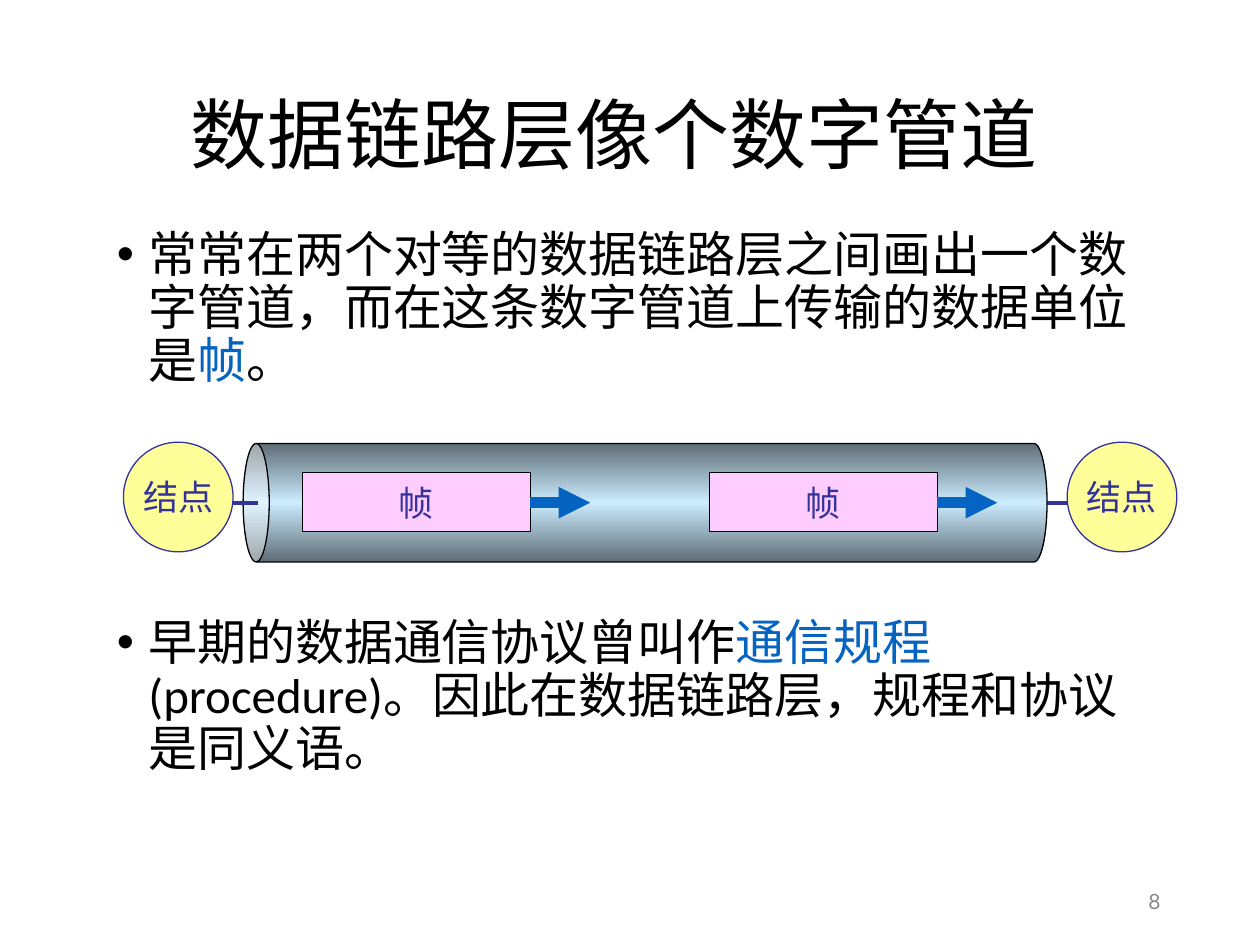
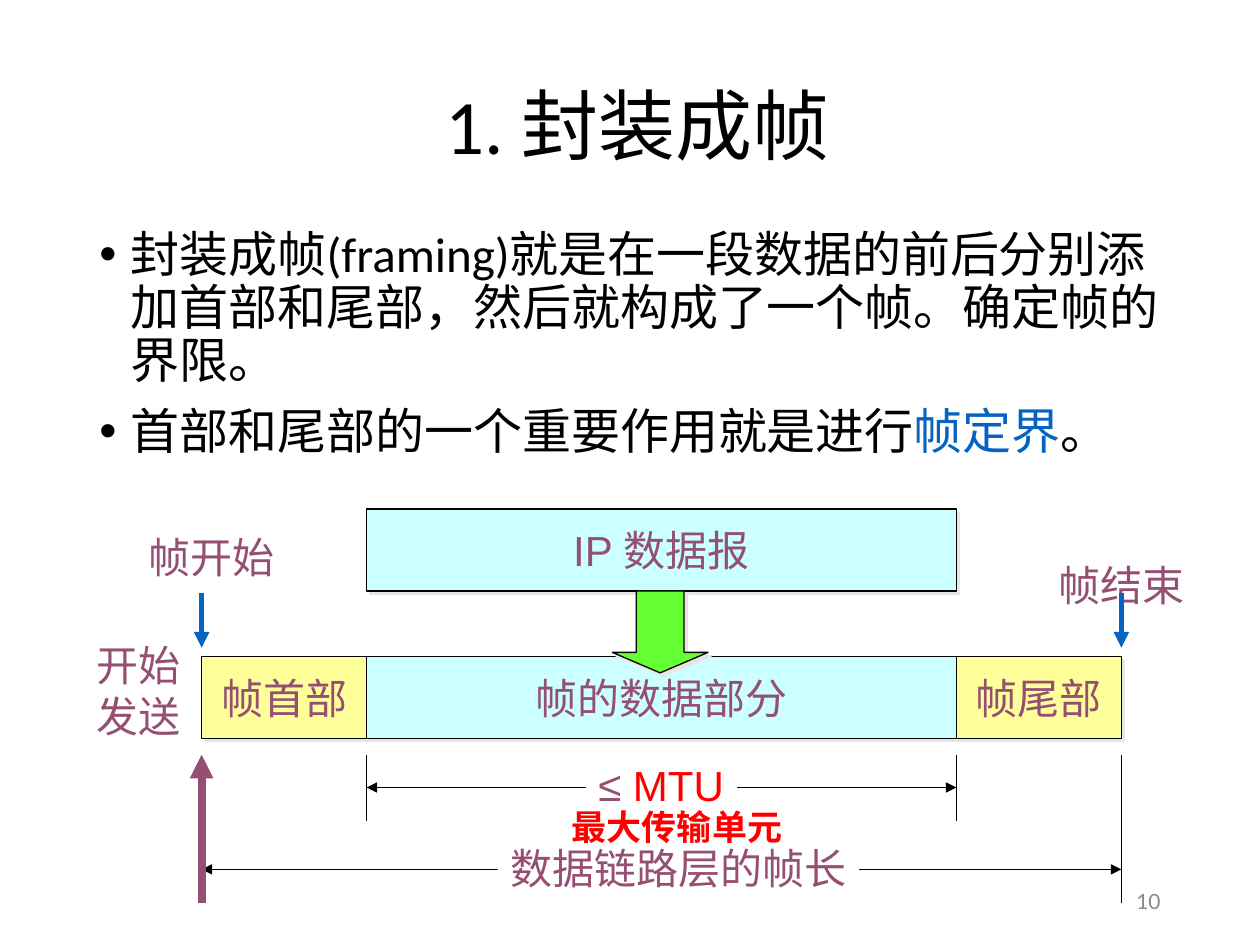
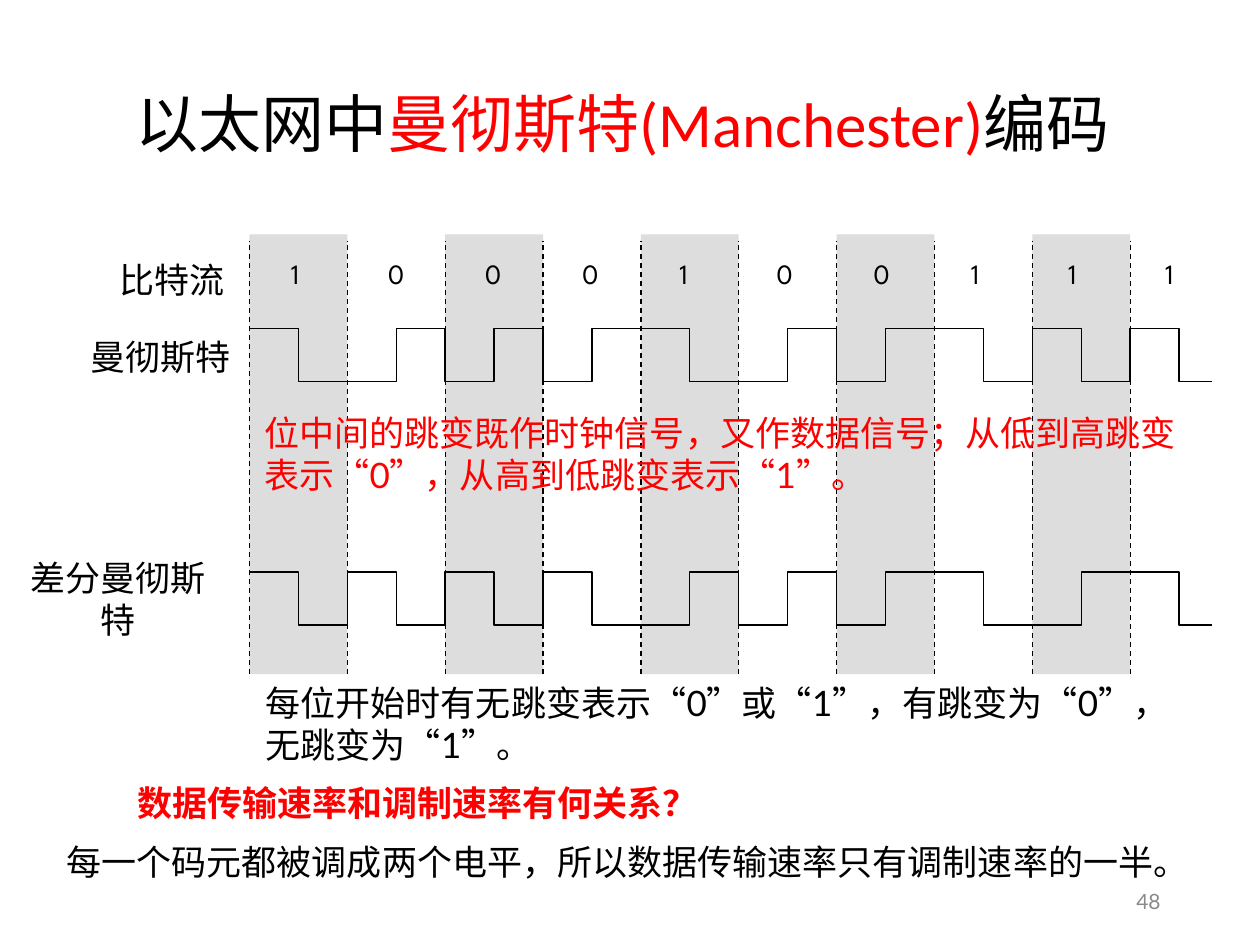
from copy import deepcopy
from dataclasses import dataclass, replace
from typing import NamedTuple, Optional, Sequence

from pptx import Presentation
from pptx.dml.color import RGBColor
from pptx.enum.dml import MSO_LINE_DASH_STYLE as Dash
from pptx.enum.lang import MSO_LANGUAGE_ID as Lang
from pptx.enum.shapes import MSO_CONNECTOR as Conn, MSO_SHAPE as Shp
from pptx.enum.text import MSO_ANCHOR as Anchor, PP_ALIGN as Align
from pptx.oxml.ns import qn
from pptx.oxml.xmlchemy import OxmlElement
from pptx.util import Inches, Pt

BLACK = RGBColor(0x00, 0x00, 0x00)
WHITE = RGBColor(0xFF, 0xFF, 0xFF)
RED = RGBColor(0xFF, 0x00, 0x00)
BLUE = RGBColor(0x05, 0x63, 0xC1)
NAVY = RGBColor(0x33, 0x33, 0x99)
PLUM = RGBColor(0x95, 0x4F, 0x72)
YELLOW = RGBColor(0xFF, 0xFF, 0x99)
PINK = RGBColor(0xFF, 0xCC, 0xFF)
CYAN = RGBColor(0xCC, 0xFF, 0xFF)
GREEN = RGBColor(0x66, 0xFF, 0x33)
STEEL = RGBColor(0x5E, 0x6D, 0x76)
SKY = RGBColor(0xCC, 0xEC, 0xFF)
BAND_GREY = RGBColor(0xDD, 0xDD, 0xDD)
NUMBER_GREY = RGBColor(0x89, 0x89, 0x89)

# The slide is a grid of 100 columns by 75 rows of square cells.
SLIDE_W, SLIDE_H = Inches(10), Inches(7.5)
COLUMNS = 100
CELL = SLIDE_W / COLUMNS


def grid(n: float) -> int:
    """Turn a count of grid cells into a length."""
    return round(n * CELL)


class Box(NamedTuple):
    left: float
    top: float
    width: float
    height: float

    def emu(self) -> list[int]:
        return [grid(n) for n in self]


class Run(NamedTuple):
    text: str
    color: Optional[RGBColor] = None


class Line(NamedTuple):
    x1: float
    y1: float
    x2: float
    y2: float
    color: RGBColor = BLACK
    width: float = 0.75
    ends: Sequence[str] = ()
    dash: Optional[Dash] = None


@dataclass(frozen=True)
class Style:
    font: str = "Lato"
    size: float = 20
    color: RGBColor = BLACK
    bold: bool = False
    align: Align = Align.LEFT
    anchor: Anchor = Anchor.TOP
    wrap: bool = False
    spacing: float = 1.0
    bullet: bool = False


@dataclass(frozen=True)
class Label:
    box: Box
    paragraphs: Sequence[Sequence[Run]]
    style: Style
    fill: Optional[RGBColor] = None


@dataclass(frozen=True)
class Block:
    """A filled preset shape with an optional caption."""
    box: Box
    fill: Optional[RGBColor]
    caption: str = ""
    style: Style = Style()
    line: Optional[RGBColor] = BLACK
    shape: Shp = Shp.RECTANGLE
    shadow: bool = False


TITLE = Style("Calibri", 44, align=Align.CENTER, anchor=Anchor.MIDDLE,
              wrap=True, spacing=0.9)
BODY = Style("Calibri", 28, wrap=True, spacing=0.9, bullet=True)
NUMBER = Style(size=12, color=NUMBER_GREY, align=Align.RIGHT,
               anchor=Anchor.MIDDLE, wrap=True)
NODE = Style(color=NAVY, align=Align.CENTER, anchor=Anchor.MIDDLE)
FIELD = Style("Arial", 24, PLUM, align=Align.CENTER, anchor=Anchor.MIDDLE)
MARK = Style("Arial", 24, PLUM)
NOTE = Style(wrap=True)
SIGNAL = Style("Times New Roman", wrap=True)
BIT = Style("League Spartan", 16)
NUMBER_BOX = Box(70.6, 69.5, 22.5, 4)


def add_xml(parent, tag: str, **attrs):
    el = OxmlElement(tag)
    for name, value in attrs.items():
        el.set(name, str(value))
    parent.append(el)
    return el


def write(tf, paragraphs: Sequence[Sequence[Run]], style: Style, gap: float = 10) -> None:
    """Fill a text frame; gap is the space in points between bullets."""
    tf.word_wrap = style.wrap
    tf.vertical_anchor = style.anchor
    for i, runs in enumerate(paragraphs):
        p = tf.add_paragraph() if i else tf.paragraphs[0]
        if style.bullet:
            pPr = p._p.get_or_add_pPr()
            pPr.set("marL", str(Inches(0.25)))
            pPr.set("indent", str(-Inches(0.25)))
            add_xml(pPr, "a:buFont", typeface="Arial")
            add_xml(pPr, "a:buChar", char="•")
            p.space_before = Pt(gap if i else 0)
        p.alignment = style.align
        p.line_spacing = style.spacing
        for run in runs:
            r = p.add_run()
            r.text = run.text
            formats = {"name": style.font, "size": Pt(style.size), "bold": style.bold,
                       "language_id": Lang.SIMPLIFIED_CHINESE}
            for name, value in formats.items():
                setattr(r.font, name, value)
            r.font.color.rgb = style.color if run.color is None else run.color


def add_label(s, label: Label, gap: float = 10) -> None:
    sp = s.shapes.add_textbox(*label.box.emu())
    if label.fill is not None:
        sp.fill.solid()
        sp.fill.fore_color.rgb = label.fill
    write(sp.text_frame, label.paragraphs, label.style, gap)


def add_shadow(sp) -> None:
    effects = sp._element.spPr.find(qn("a:effectLst"))
    shadow = add_xml(effects, "a:outerShdw", blurRad=0, dist=Pt(2.8), dir=45 * 60000,
                     algn="ctr", rotWithShape=0)
    add_xml(shadow, "a:srgbClr", val="E7E6E6")


def set_outline(sp, color: Optional[RGBColor]) -> None:
    if color is None:
        sp.line.fill.background()
    else:
        sp.line.color.rgb = color
        sp.line.width = Pt(0.75)


def add_block(s, block: Block):
    sp = s.shapes.add_shape(block.shape, *block.box.emu())
    sp.shadow.inherit = False
    if block.fill is not None:
        sp.fill.solid()
        sp.fill.fore_color.rgb = block.fill
    set_outline(sp, block.line)
    if block.shadow:
        add_shadow(sp)
    if block.caption:
        write(sp.text_frame, [[Run(block.caption)]], block.style)
    return sp


def add_line(s, line: Line) -> None:
    """Draw a line; ends names the arrowheads, headEnd before tailEnd."""
    c = s.shapes.add_connector(Conn.STRAIGHT, *map(grid, line[:4]))
    c.line.color.rgb = line.color
    c.line.width = Pt(line.width)
    if line.dash is not None:
        c.line.dash_style = line.dash
    for end in line.ends:
        add_xml(c.line._get_or_add_ln(), f"a:{end}", type="triangle")
    add_xml(c._element.spPr, "a:effectLst")


def add_slide(prs, number: int, title_box: Box, title: Sequence[Run],
              title_style: Style = TITLE):
    s = prs.slides.add_slide(prs.slide_layouts[6])
    add_label(s, Label(title_box, [title], title_style))
    add_label(s, Label(NUMBER_BOX, [[Run(str(number))]], NUMBER))
    return s


TO = ("tailEnd",)
BOTH = ("headEnd", "tailEnd")


def add_pipe(s) -> None:
    """Draw the horizontal cylinder, shaded from its edges to its middle."""
    sp = add_block(s, Block(Box(46.5, 8, 9.4, 63.8), None, shape=Shp.CAN))
    sp.rotation = 270
    sp.adjustments[0] = 0.22
    sp.fill.gradient()
    sp.fill.gradient_angle = 0
    first, last = sp.fill.gradient_stops
    first.color.rgb, first.position = STEEL, 0
    last.color.rgb, last.position = SKY, 0.5
    stops = sp._element.spPr.find(f".//{qn('a:gsLst')}")
    edge = deepcopy(stops[0])
    edge.set("pos", "100000")
    stops.append(edge)


def pipe_slide(prs) -> None:
    s = add_slide(prs, 8, Box(11.3, 6.8, 75, 8.4), [Run("数据链路层像个数字管道")])
    add_label(s, Label(Box(8.3, 17.8, 85, 52.9), [
        [Run("常常在两个对等的数据链路层之间画出一个数字管道，而在这条数字管道上传输的数据单位是"),
         Run("帧", BLUE), Run("。")],
        [Run("早期的数据通信协议曾叫作"), Run("通信规程", BLUE),
         Run("(procedure)。因此在数据链路层，规程和协议是同义语。")],
    ], BODY), gap=131)

    axis, node, node_lefts = 39.9, 8.7, (9.8, 84.7)
    wire_start = node_lefts[0] + node
    for left in node_lefts:
        add_block(s, Block(Box(left, 35.1, node, node), YELLOW, "结点", NODE, NAVY, Shp.OVAL))
    add_line(s, Line(wire_start, axis, node_lefts[1], axis, NAVY, 2.25))
    add_pipe(s)
    add_line(s, Line(wire_start, axis, 20.5, axis, NAVY, 2.25))
    frame_w, arrow_w = 18.1, 4.75
    for left in (24, 56.3):
        right = left + frame_w
        add_block(s, Block(Box(left, 37.5, frame_w, 4.7), PINK, "帧", NODE))
        add_line(s, Line(right, axis, right + arrow_w, axis, BLUE, 6, TO))


def framing_slide(prs) -> None:
    s = add_slide(prs, 10, Box(12.6, 2.3, 76, 16), [Run("1. 封装成帧")])
    add_label(s, Label(Box(6.9, 17.8, 86.2, 47.6), [
        [Run("封装成帧(framing)就是在一段数据的前后分别添加首部和尾部，然后就构成了一个帧。确定帧的界限。")],
        [Run("首部和尾部的一个重要作用就是进行"), Run("帧定界", BLUE), Run("。")],
    ], BODY))

    start, data, trailer, end = 16, 29.1, 75.9, 89
    packet_top, frame_top, field_h = 40.4, 52.1, 6.5
    fields = [
        (start, data, frame_top, YELLOW, "帧首部"),
        (data, trailer, packet_top, CYAN, "IP 数据报"),
        (data, trailer, frame_top, CYAN, "帧的数据部分"),
        (trailer, end, frame_top, YELLOW, "帧尾部"),
    ]
    for left, right, top, fill, caption in fields:
        add_block(s, Block(Box(left, top, right - left, field_h), fill, caption, FIELD,
                           shadow=True))
    down = add_block(s, Block(Box(48.6, packet_top + field_h, 7.6, field_h), GREEN,
                              shape=Shp.DOWN_ARROW, shadow=True))
    down.adjustments[0], down.adjustments[1] = 0.5, 0.25

    ruler_top, ruler_end = 59.9, 71.7
    for line in (
        Line(data, 62.5, trailer, 62.5, ends=BOTH),
        Line(start, 69, end, 69, ends=BOTH),
        Line(start, ruler_end, start, ruler_top, PLUM, 4.5, TO),
        Line(end, ruler_top, end, ruler_end),
        Line(data, ruler_top, data, 65.2),
        Line(trailer, ruler_top, trailer, 65.2),
    ):
        add_line(s, line)

    for box, paragraphs in (
        (Box(83, 43.9, 12, 5), [[Run("帧结束")]]),
        (Box(10.8, 41.7, 12, 5), [[Run("帧开始")]]),
        (Box(6.7, 50.3, 8.7, 9), [[Run("开始")], [Run("发送")]]),
        (Box(46.5, 59.8, 12, 5), [[Run("≤ "), Run("MTU", RED)]]),
        (Box(39.5, 66.4, 28.7, 5), [[Run("数据链路层的帧长")]]),
    ):
        add_label(s, Label(box, paragraphs, MARK, WHITE))
    add_label(s, Label(Box(44.4, 63.4, 18.9, 4.4), [[Run("最大传输单元")]],
                       Style(color=RED, bold=True)))
    for x in (start, end):
        add_line(s, Line(x, 47.1, x, 51.4, BLUE, 3, TO))


BITS = "1000100111"
FIRST_EDGE, LAST_EDGE = 19.8, 89.7
BIT_W = (LAST_EDGE - FIRST_EDGE) / (len(BITS) - 1)
WAVE_H, WAVE_END = 4.2, 96.2


def manchester(bits: str) -> list[bool]:
    """Return the level of each half bit: 1 falls and 0 rises in the middle."""
    return [level for bit in bits for level in (bit == "1", bit == "0")]


def differential(bits: str) -> list[bool]:
    """Return the level of each half bit: 0 also flips at the start of the bit."""
    levels, level = [], True
    for i, bit in enumerate(bits):
        if i and bit == "0":
            level = not level
        levels += [level, not level]
        level = not level
    return levels


def add_wave(s, top: float, levels: Sequence[bool]) -> None:
    points = []
    for i, high in enumerate(levels):
        y = top if high else top + WAVE_H
        left = FIRST_EDGE + i * BIT_W / 2
        points += [(left, y), (min(left + BIT_W / 2, WAVE_END), y)]
    start, *rest = [(grid(x), grid(y)) for x, y in points]
    fb = s.shapes.build_freeform(*start)
    fb.add_line_segments(rest, close=False)
    sp = fb.convert_to_shape()
    sp.shadow.inherit = False
    sp.fill.background()
    set_outline(sp, BLACK)


def coding_slide(prs) -> None:
    s = add_slide(prs, 48, Box(6.3, 4, 86.2, 12.2),
                  [Run("以太网中"), Run("曼彻斯特(Manchester)", RED), Run("编码")],
                  replace(TITLE, size=36))
    top, bottom = 18.6, 53.5
    edges = [FIRST_EDGE + i * BIT_W for i in range(len(BITS))]
    for x in edges[::2]:
        add_block(s, Block(Box(x, top, BIT_W, bottom - top), BAND_GREY, line=None))
    for i, bit in enumerate(BITS):
        add_label(s, Label(Box(22.1 + 7.71 * i, 19.9, 3.2, 3.6), [[Run(bit)]], BIT))
    for x in edges:
        add_line(s, Line(x, bottom, x, 19.1, dash=Dash.DASH))
    add_wave(s, 26.1, manchester(BITS))
    add_wave(s, 45.4, differential(BITS))

    for box, text, style in (
        (Box(8.5, 20, 10.4, 4.3), "比特流", replace(SIGNAL, wrap=False)),
        (Box(6.2, 26.1, 13.1, 4.3), "曼彻斯特", SIGNAL),
        (Box(0.1, 43.7, 18.6, 4.3), "差分曼彻斯特", replace(SIGNAL, align=Align.CENTER)),
        (Box(20, 32.2, 75.3, 7.7),
         "位中间的跳变既作时钟信号，又作数据信号；从低到高跳变表示“0”，从高到低跳变表示“1”。",
         replace(NOTE, color=RED)),
        (Box(20.1, 53.6, 73.2, 7.7),
         "每位开始时有无跳变表示“0”或“1”，有跳变为“0”，无跳变为“1”。", NOTE),
        (Box(4.3, 66.2, 90, 4.4),
         "每一个码元都被调成两个电平，所以数据传输速率只有调制速率的一半。", NOTE),
        (Box(9.9, 61.5, 47.2, 4.4), "数据传输速率和调制速率有何关系？",
         Style(color=RED, bold=True)),
    ):
        add_label(s, Label(box, [[Run(text)]], style))


def main() -> None:
    prs = Presentation()
    prs.slide_width, prs.slide_height = SLIDE_W, SLIDE_H
    for build in (pipe_slide, framing_slide, coding_slide):
        build(prs)
    prs.save("out.pptx")


if __name__ == "__main__":
    main()
